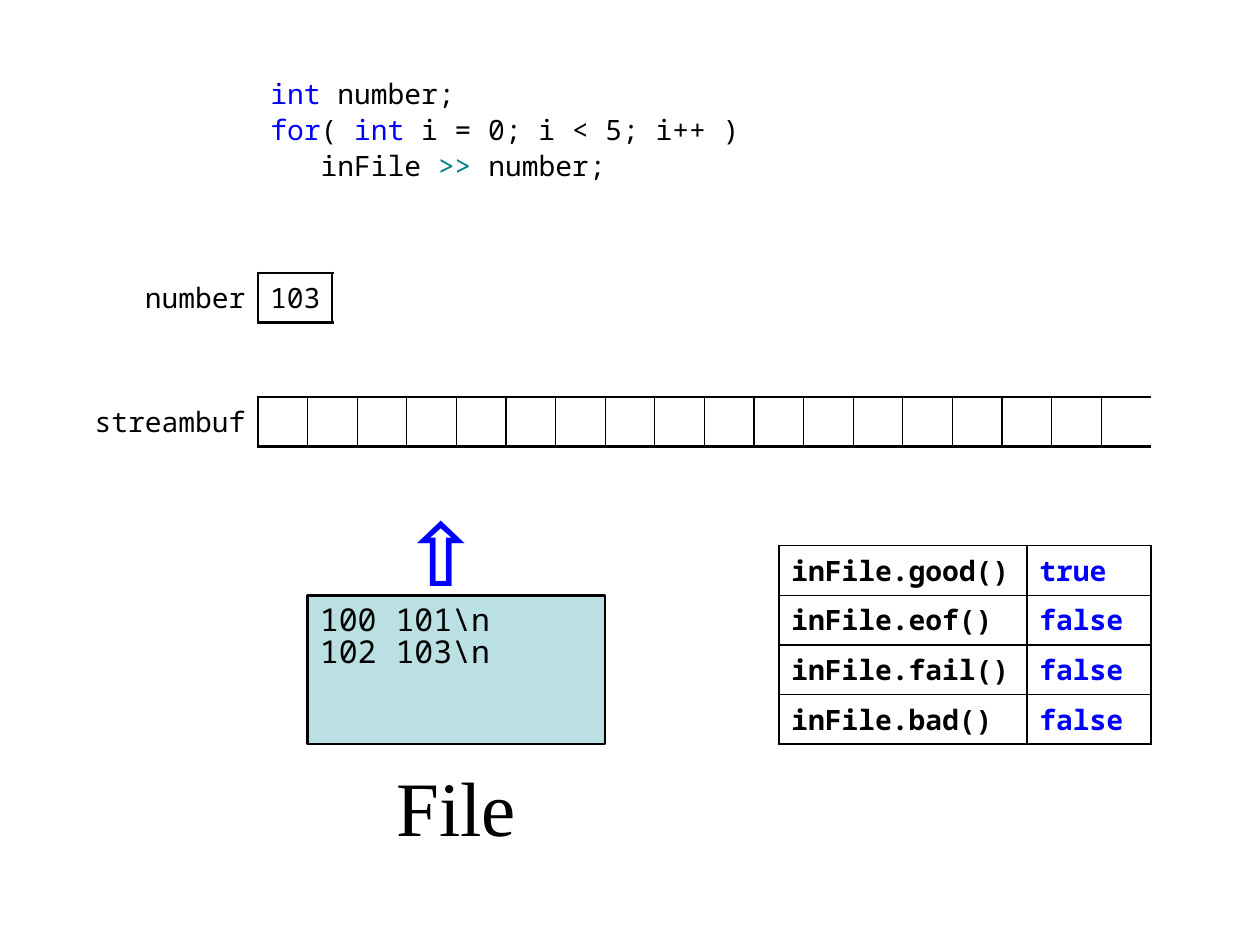
from pptx import Presentation, util as u
from pptx.dml.color import RGBColor
from pptx.enum import shapes, text
from pptx.oxml import ns
from lxml import etree

BLACK = RGBColor(0, 0, 0)
BLUE = RGBColor(0, 0, 255)
TEAL = RGBColor(0, 128, 128)
PALE = RGBColor(0xBB, 0xE0, 0xE3)
MONO, SERIF, ARROW = "Noto Sans Mono", "Times New Roman", "Courier New"
TOP, MID = text.MSO_ANCHOR.TOP, text.MSO_ANCHOR.MIDDLE
LEFT, MIDST, RIGHT = text.PP_ALIGN.LEFT, text.PP_ALIGN.CENTER, text.PP_ALIGN.RIGHT

CODE = [
    [("int ", BLUE), ("number;", BLACK)],
    [("for", BLUE), ("( ", BLACK), ("int", BLUE), (" i = 0; i < 5; i++ )", BLACK)],
    [("inFile ", BLACK), (">>", TEAL), (" number;", BLACK)],
]
DATA = ["100 101\\n", "102 103\\n"]
STATES = [("good", "true"), ("eof", "false"), ("fail", "false"), ("bad", "false")]
SLOTS = 18
GRID = u.Cm(1)
SIDES = {"l": "lnL", "r": "lnR", "t": "lnT", "b": "lnB"}
PLAIN = "{2D5ABB26-0587-4C30-8999-92F81FD0307C}"


def cells(*vals):
    return [int(v * GRID) for v in vals]


def plain(line):
    return [(line, BLACK)]


def write(frame, lines, size=16, font=MONO, bold=False, **form):
    for n, runs in enumerate(lines):
        par = frame.paragraphs[0] if n == 0 else frame.add_paragraph()
        for key, val in form.items():
            setattr(par, key, val)
        for word, color in runs:
            run = par.add_run()
            run.text = word
            run.font.color.rgb = color
            for key, val in {"size": u.Pt(size), "name": font, "bold": bold}.items():
                setattr(run.font, key, val)


def inset(obj, left, top, right, bottom):
    for side, val in zip(("left", "top", "right", "bottom"), (left, top, right, bottom)):
        setattr(obj, "margin_" + side, u.Inches(val))


def box(slide, area, pads, anchor=TOP, wrap=True):
    frame = slide.shapes.add_textbox(*cells(*area)).text_frame
    frame.word_wrap = wrap
    frame.vertical_anchor = anchor
    inset(frame, *pads)
    return frame


def grid(slide, left, top, widths, rows):
    frame = slide.shapes.add_table(rows, len(widths), *cells(left, top, sum(widths), rows))
    table = frame.table
    table.first_row = table.horz_banding = False
    table._tbl.tblPr.find(ns.qn("a:tableStyleId")).text = PLAIN
    for col, width in zip(table.columns, widths):
        col.width = int(width * GRID)
    for row in table.rows:
        row.height = GRID
    return table


def fill(cell, word, edges, pads=(0, 0, 0, 0), color=BLACK, **form):
    inset(cell, *pads)
    cell.vertical_anchor = MID
    write(cell.text_frame, [[(word, color)] if word else []], **form)
    props = cell._tc.get_or_add_tcPr()
    for side, tag in SIDES.items():
        wide = edges.get(side, 0)
        line = etree.SubElement(props, ns.qn("a:" + tag), w=str(u.Pt(wide)))
        if wide:
            solid = etree.SubElement(line, ns.qn("a:solidFill"))
            etree.SubElement(solid, ns.qn("a:srgbClr"), val=str(BLACK))
        else:
            etree.SubElement(line, ns.qn("a:noFill"))
    cell.fill.background()


def main():
    deck = Presentation()
    deck.slide_width, deck.slide_height = u.Inches(10), u.Inches(7.5)
    slide = deck.slides.add_slide(deck.slide_layouts[6])

    label = box(slide, (7.7, 15, 3, 2.5), (0.1, 0.05, 0.1, 0.05), MID, False)
    write(label, [plain("File")], 44, SERIF, alignment=MIDST)

    code = box(slide, (5.2, 1.5, 10, 2.5), (0.1, 0.05, 0.08, 0.05))
    write(code, CODE, line_spacing=0.9, space_before=u.Pt(3.2))
    code.paragraphs[-1]._p.get_or_add_pPr().set("marL", str(u.Inches(0.4)))

    buf = grid(slide, 1.7, 8, [3.5] + [1] * SLOTS, 1)
    fill(buf.cell(0, 0), "streambuf", {"r": 1.5}, (0, 0, 0.1, 0), alignment=RIGHT)
    for n in range(1, SLOTS + 1):
        edges = {"l": 1.5 if n == 1 else 0.75, "t": 1.5, "b": 1.5,
                 "r": 0.75 if n < SLOTS else 0}
        fill(buf.cell(0, n), "", edges)

    num = grid(slide, 2.7, 5.5, [2.5, 1.5], 1)
    fill(num.cell(0, 0), "number", {"r": 1.5}, (0.04, 0, 0.1, 0), alignment=RIGHT)
    fill(num.cell(0, 1), "103", dict.fromkeys(SIDES, 1.5), alignment=MIDST)

    file = slide.shapes.add_shape(shapes.MSO_SHAPE.RECTANGLE, *cells(6.2, 12, 6, 3))
    file.shadow.inherit = False
    file.fill.solid()
    file.fill.fore_color.rgb = PALE
    file.line.color.rgb = BLACK
    file.line.width = u.Pt(1.5)
    frame = file.text_frame
    frame.word_wrap = False
    frame.vertical_anchor = TOP
    inset(frame, 0.1, 0.08, 0.1, 0.05)
    write(frame, map(plain, DATA), 18, alignment=LEFT, line_spacing=0.86)

    arrow = box(slide, (8.2, 9.5, 2, 2.5), (0, 0, 0, 0))
    write(arrow, [[("⇧", BLUE)]], 66, ARROW, True)

    flags = grid(slide, 15.7, 11, [5, 2.5], len(STATES))
    for r, (name, state) in enumerate(STATES):
        for c, (word, color) in enumerate([(f"inFile.{name}()", BLACK), (state, BLUE)]):
            fill(flags.cell(r, c), word, dict.fromkeys(SIDES, 1),
                 (0.1, 0.04, 0.1, 0.04), color, bold=True)

    deck.save("out.pptx")


if __name__ == "__main__":
    main()
